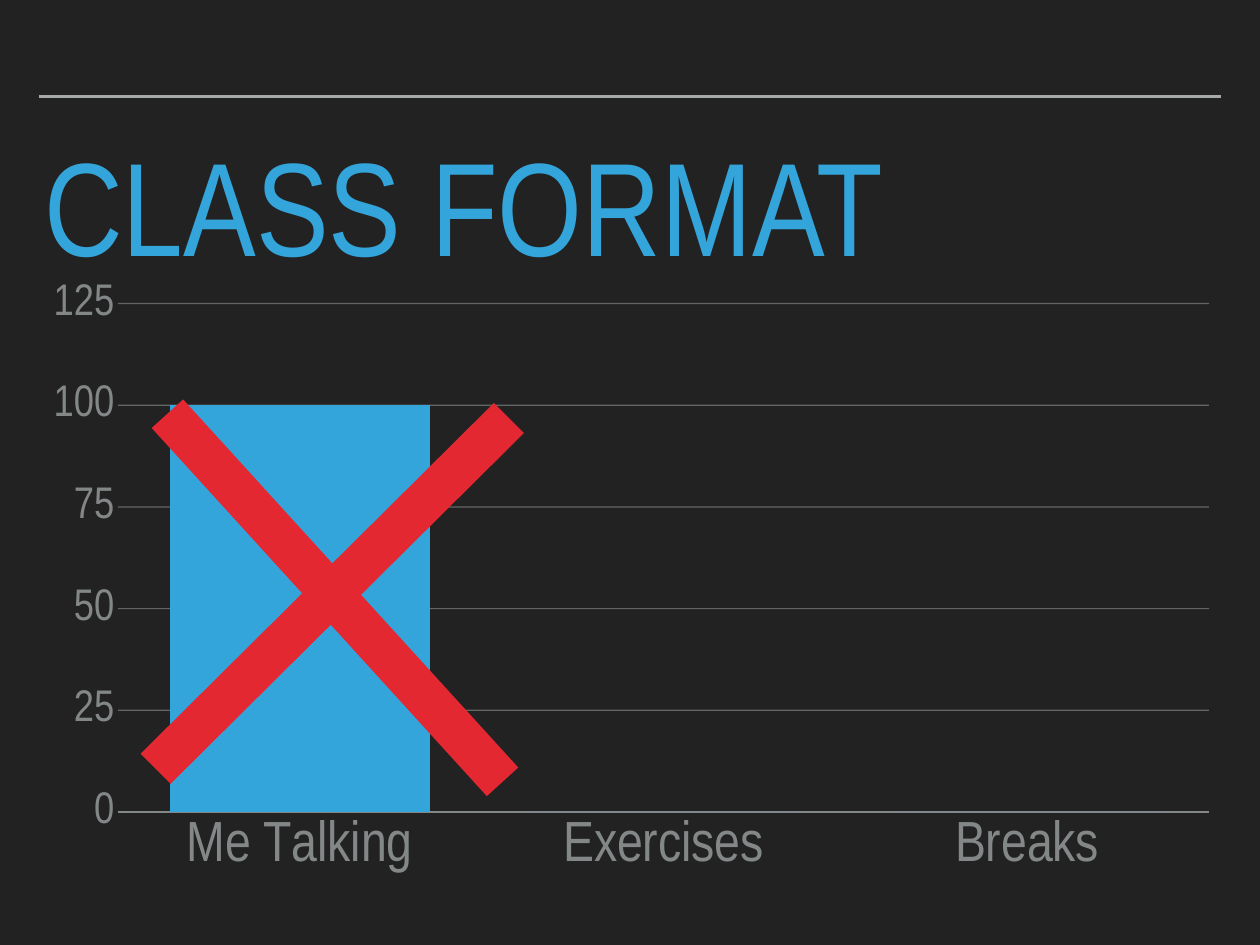
from dataclasses import dataclass

from lxml.etree import SubElement
from pptx import Presentation
from pptx.chart.data import CategoryChartData
from pptx.dml.color import RGBColor
from pptx.enum.chart import XL_CHART_TYPE as ChartType
from pptx.enum.chart import XL_TICK_LABEL_POSITION as LabelPosition
from pptx.enum.chart import XL_TICK_MARK as TickMark
from pptx.enum.shapes import MSO_CONNECTOR as Connector
from pptx.enum.shapes import MSO_SHAPE as Shape
from pptx.enum.text import MSO_ANCHOR as Anchor
from pptx.enum.text import MSO_AUTO_SIZE as AutoSize
from pptx.enum.text import PP_ALIGN as Align
from pptx.oxml import parse_xml
from pptx.oxml.ns import nsdecls, qn
from pptx.util import Inches, Pt

TITLE = "CLASS FORMAT"
ACTIVITIES = ["Me Talking", "Exercises", "Breaks"]
SHARES = [100, 0, 0]
SLIDE_SIZE = (14.22, 10.67)
RULE_ENDS = (0.44, 1.09, 13.78, 1.09)
TITLE_BOX = (0.44, 1.68, 13.33, 0.79)
CHART_BOX = (0.44, 2.79, 13.27, 7.41)
PLOT_AREA = {"x": 0.067, "y": 0.086, "w": 0.928, "h": 0.775}
CROSS_BARS = [  # box, rotation
    ((0.97, 6.51, 5.62, 0.48), 47.7),
    ((0.94, 6.46, 5.62, 0.48), 315.2),
]


@dataclass(frozen=True)
class Theme:
    background: RGBColor = RGBColor.from_string("222222")
    accent: RGBColor = RGBColor.from_string("34A5DA")
    cross: RGBColor = RGBColor.from_string("E42832")
    rule: RGBColor = RGBColor.from_string("A6AAA9")
    label: RGBColor = RGBColor.from_string("838787")
    font: str = "Arial Narrow"
    chart_font: str = "Arial"
    title_size: int = 108
    category_size: int = 46
    value_size: int = 36
    chart_size: int = 10


THEME = Theme()


def inches(values):
    return [Inches(value) for value in values]


def style_font(font, name, size, color):
    font.name = name
    font.size = Pt(size)
    font.color.rgb = color


def style_line(line, color, width):
    line.color.rgb = color
    line.width = Pt(width)


def add_rule(slide):
    rule = slide.shapes.add_connector(Connector.STRAIGHT, *inches(RULE_ENDS))
    style_line(rule.line, THEME.rule, 2)
    SubElement(rule._element.spPr, qn("a:effectLst"))


def fill_title(slide):
    title = slide.shapes.title
    title.left, title.top, title.width, title.height = inches(TITLE_BOX)
    frame = title.text_frame
    frame.auto_size = AutoSize.NONE
    frame.word_wrap = True
    frame.vertical_anchor = Anchor.TOP
    frame.margin_left = frame.margin_right = Inches(0.06)
    frame.margin_top = frame.margin_bottom = Inches(0.06)
    paragraph = frame.paragraphs[0]
    paragraph.alignment = Align.LEFT
    paragraph.line_spacing = 0.8
    run = paragraph.add_run()
    run.text = TITLE
    style_font(run.font, THEME.font, THEME.title_size, THEME.accent)


def style_axis(axis, size):
    axis.major_tick_mark = axis.minor_tick_mark = TickMark.NONE
    style_font(axis.tick_labels.font, THEME.font, size, THEME.label)


def place_plot(chart):
    """Fix the inner plot area as fractions of the chart."""
    plot_area = chart._chartSpace.chart.plotArea
    for layout in plot_area.findall(qn("c:layout")):
        plot_area.remove(layout)
    places = "".join(f'<c:{key} val="{value}"/>' for key, value in PLOT_AREA.items())
    plot_area.insert(0, parse_xml(
        f'<c:layout {nsdecls("c")}><c:manualLayout><c:layoutTarget val="inner"/>'
        f'<c:xMode val="edge"/><c:yMode val="edge"/>{places}'
        "</c:manualLayout></c:layout>"))


def add_time_chart(slide):
    data = CategoryChartData()
    data.categories = ACTIVITIES
    data.add_series("Series 1", SHARES)
    frame = slide.shapes.add_chart(
        ChartType.COLUMN_CLUSTERED, *inches(CHART_BOX), data)
    chart = frame.chart
    chart.has_title = chart.has_legend = False
    style_font(chart.font, THEME.chart_font, THEME.chart_size, THEME.background)
    place_plot(chart)

    plot = chart.plots[0]
    plot.vary_by_categories = False
    plot.gap_width = 40
    plot.overlap = -10
    fill = plot.series[0].format.fill
    fill.solid()
    fill.fore_color.rgb = THEME.accent

    categories = chart.category_axis
    style_axis(categories, THEME.category_size)
    categories.tick_label_position = LabelPosition.LOW
    style_line(categories.format.line, THEME.label, 1)

    values = chart.value_axis
    style_axis(values, THEME.value_size)
    values.minimum_scale, values.maximum_scale, values.major_unit = 0, 125, 25
    values.tick_labels.number_format = "0"
    values.tick_labels.number_format_is_linked = False
    values.format.line.fill.background()
    gridlines = values.major_gridlines
    style_line(gridlines.format.line, THEME.rule, 1)
    for color in gridlines._xAx.majorGridlines.iter(qn("a:srgbClr")):
        SubElement(color, qn("a:alpha"), val="50000")


def add_cross(slide):
    for box, rotation in CROSS_BARS:
        bar = slide.shapes.add_shape(Shape.RECTANGLE, *inches(box))
        bar.rotation = rotation
        bar.shadow.inherit = False
        bar.fill.solid()
        bar.fill.fore_color.rgb = THEME.cross
        bar.line.fill.background()


def main():
    presentation = Presentation()
    presentation.slide_width, presentation.slide_height = inches(SLIDE_SIZE)
    title_only = presentation.slide_layouts[5]
    slide = presentation.slides.add_slide(title_only)
    background = slide.background.fill
    background.solid()
    background.fore_color.rgb = THEME.background
    add_rule(slide)
    fill_title(slide)
    add_time_chart(slide)
    add_cross(slide)
    presentation.save("out.pptx")


if __name__ == "__main__":
    main()
